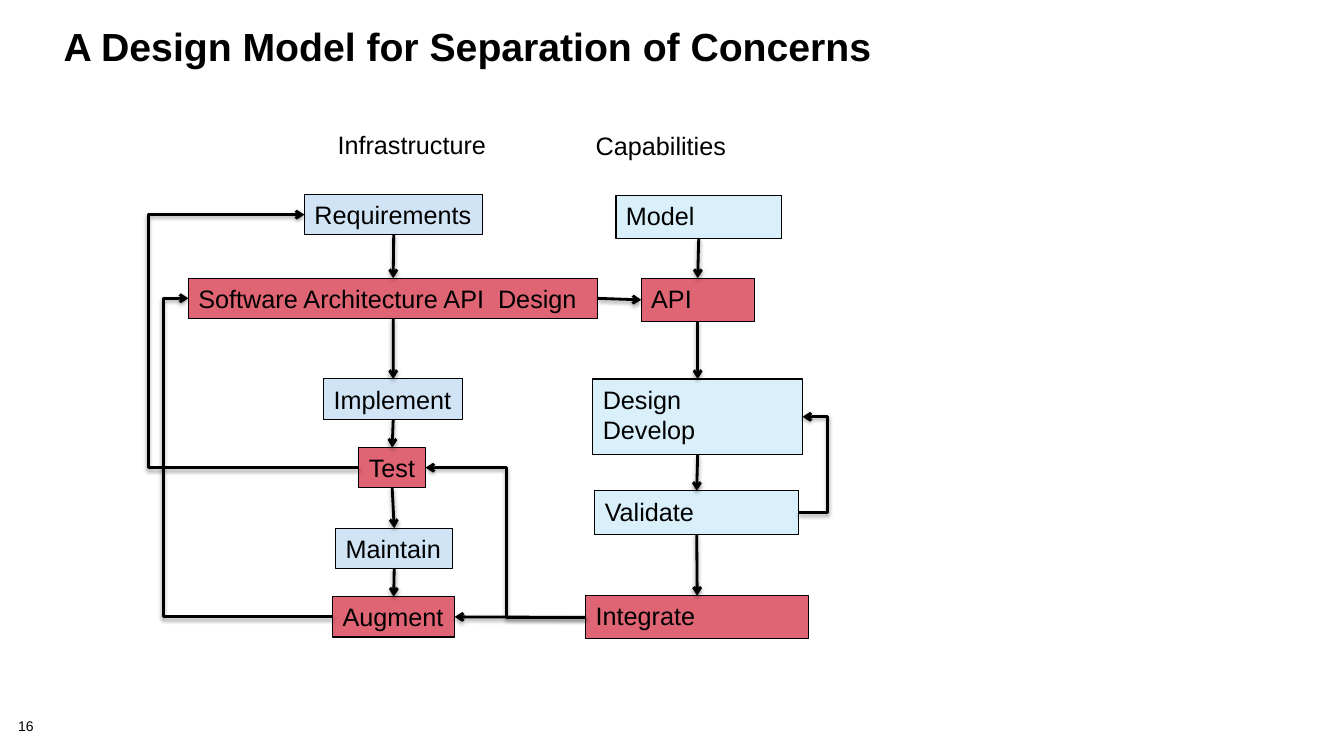
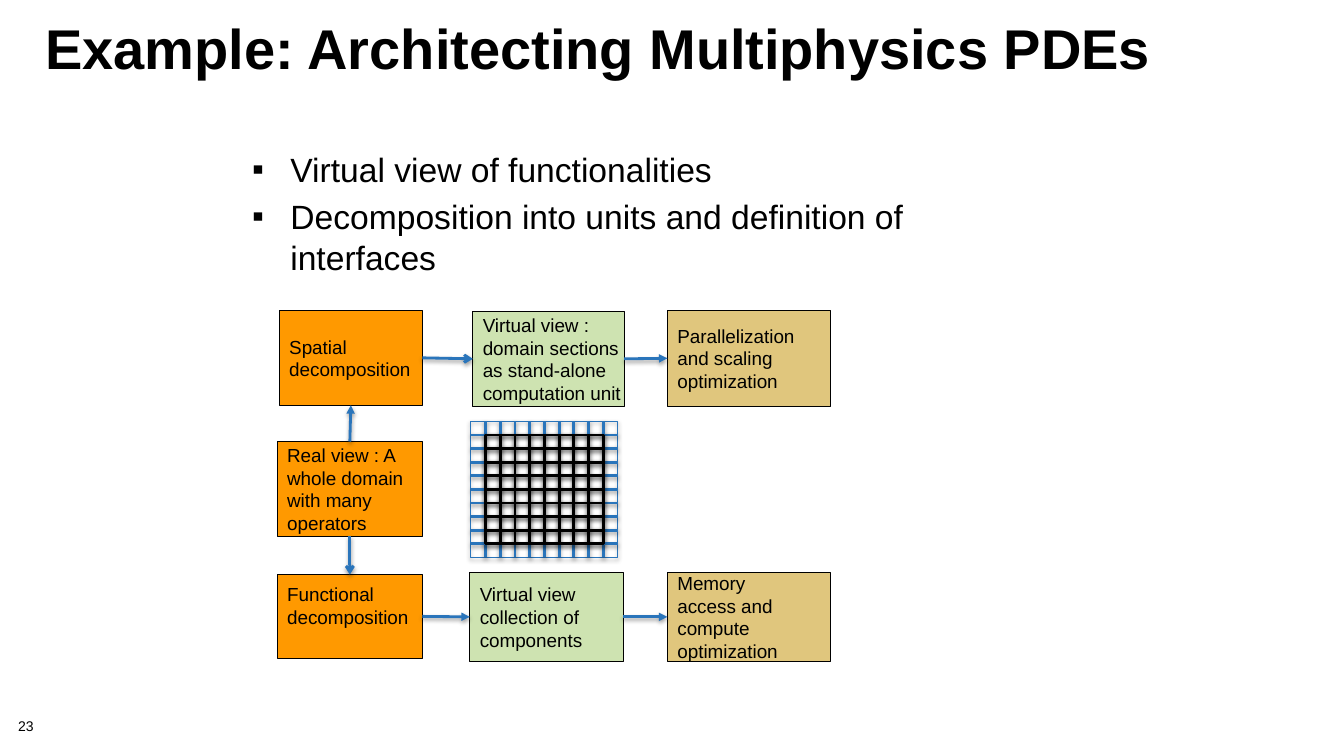
"""Build two slides on separating concerns in software design."""
from lxml import etree
from pptx import Presentation
from pptx.dml.color import RGBColor
from pptx.enum.shapes import MSO_CONNECTOR, MSO_SHAPE
from pptx.enum.text import MSO_ANCHOR, MSO_AUTO_SIZE, PP_ALIGN
from pptx.oxml.ns import qn
from pptx.util import Inches, Pt

RECT = MSO_SHAPE.RECTANGLE
LINE = MSO_CONNECTOR.STRAIGHT
BENT = MSO_CONNECTOR.ELBOW
TOP, MID = MSO_ANCHOR.TOP, MSO_ANCHOR.MIDDLE
LEFT = PP_ALIGN.LEFT
FIXED = MSO_AUTO_SIZE.NONE
NORTH, WEST, SOUTH, EAST = range(4)

BLACK = RGBColor(0x00, 0x00, 0x00)
PALE = RGBColor(0xD1, 0xE4, 0xF5)
SKY = RGBColor(0xD9, 0xEF, 0xFA)
RED = RGBColor(0xDF, 0x64, 0x74)
ORANGE = RGBColor(0xFF, 0x99, 0x00)
GREEN = RGBColor(0xCE, 0xE3, 0xB1)
SAND = RGBColor(0xE0, 0xC6, 0x7D)
BLUE = RGBColor(0x2A, 0x75, 0xBB)
FONT = "Arial"


def write(frame, size, bold=False):
    """Format every paragraph in a text frame."""
    frame.word_wrap = True
    frame.auto_size = FIXED
    for para in frame.paragraphs:
        para.alignment = LEFT
        para.font.name = FONT
        para.font.size = Pt(size)
        para.font.bold = bold
        para.font.color.rgb = BLACK


def stroke(item, color, width=2, tip=None):
    """Give a line or outline its color, arrowhead and soft shadow."""
    item.line.color.rgb = color
    item.line.width = Pt(width)
    props = item._element.spPr
    if tip:
        etree.SubElement(props.find(qn("a:ln")), qn("a:tailEnd"), type=tip)
    glow = etree.SubElement(props, qn("a:effectLst"))
    cast = etree.SubElement(glow, qn("a:outerShdw"), blurRad=str(Pt(3.1)),
                            dist=str(Pt(1.6)), dir="5400000", rotWithShape="0")
    tone = etree.SubElement(cast, qn("a:srgbClr"), val=str(BLACK))
    etree.SubElement(tone, qn("a:alpha"), val="38000")


deck = Presentation()
deck.slide_width, deck.slide_height = Inches(13.33), Inches(7.5)
model = deck.slides.add_slide(deck.slide_layouts[5])
multi = deck.slides.add_slide(deck.slide_layouts[1])

heads = [
    (model, "A Design Model for Separation of Concerns", 28, (0.53, 0.24, 10.56, 0.67)),
    (multi, "Example: Architecting Multiphysics PDEs", 40, (0.35, 0.19, 11.6, 0.68)),
]
for slide, text, size, spot in heads:
    title = slide.shapes.title
    title.left, title.top, title.width, title.height = map(Inches, spot)
    frame = title.text_frame
    frame.text = text
    frame.vertical_anchor = TOP
    frame.paragraphs[0].line_spacing = 0.85
    write(frame, size, True)

labels = [
    (model, "16", 10, 0, (0.18, 7.12, 0.56, 0.16)),
    (multi, "23", 10, 0, (0.18, 7.12, 0.56, 0.16)),
    (model, "Infrastructure", 18, 0.1, (3.25, 1.23, 1.69, 0.4)),
    (model, "Capabilities", 18, 0.1, (5.81, 1.24, 1.51, 0.4)),
]
for slide, text, size, inset, spot in labels:
    frame = slide.shapes.add_textbox(*map(Inches, spot)).text_frame
    frame.text = text
    frame.margin_left, frame.margin_right = Inches(inset), 0
    frame.margin_top = frame.margin_bottom = Inches(inset / 2)
    write(frame, size)

body = multi.placeholders[1]
body.left, body.top, body.width, body.height = map(Inches, (2.4, 1.43, 7.97, 1.38))
frame = body.text_frame
frame.text = ("Virtual view of functionalities\n"
              "Decomposition into units and definition of interfaces")
for gap, para in zip((0, 4.8), frame.paragraphs):
    para.space_before = Pt(gap)
    props = para._p.get_or_add_pPr()
    props.set("marL", str(Inches(0.38)))
    props.set("indent", str(Inches(-0.38)))
    etree.SubElement(props, qn("a:buChar"), char="▪")
write(frame, 24)

boxes = [
    (model, PALE, (3.02, 1.93, 1.77, 0.4), "Requirements"),
    (model, RED, (1.87, 2.76, 4.06, 0.4), "Software Architecture API  Design"),
    (model, PALE, (3.21, 3.76, 1.38, 0.4), "Implement"),
    (model, RED, (3.56, 4.44, 0.66, 0.4), "Test"),
    (model, PALE, (3.33, 5.24, 1.16, 0.4), "Maintain"),
    (model, RED, (3.3, 5.92, 1.21, 0.4), "Augment"),
    (model, SKY, (6.11, 1.94, 1.64, 0.43), "Model"),
    (model, RED, (6.36, 2.76, 1.12, 0.43), "API"),
    (model, SKY, (5.88, 3.76, 2.08, 0.75), "Design\nDevelop"),
    (model, SKY, (5.9, 4.87, 2.02, 0.43), "Validate"),
    (model, RED, (5.81, 5.91, 2.21, 0.43), "Integrate"),
    (multi, ORANGE, (2.77, 3.08, 1.42, 0.94), "Spatial\ndecomposition"),
    (multi, ORANGE, (2.75, 4.38, 1.44, 0.94),
     "Real view : A\nwhole domain\nwith many\noperators"),
    (multi, ORANGE, (2.75, 5.7, 1.44, 0.83), "Functional\ndecomposition"),
    (multi, GREEN, (4.69, 3.09, 1.5, 0.94),
     "Virtual view :\ndomain sections\nas stand-alone\ncomputation unit"),
    (multi, GREEN, (4.66, 5.68, 1.52, 0.88), "Virtual view\ncollection of\ncomponents"),
    (multi, SAND, (6.62, 3.08, 1.62, 0.95),
     "Parallelization\nand scaling\noptimization"),
    (multi, SAND, (6.62, 5.68, 1.62, 0.88),
     "Memory\naccess and\ncompute\noptimization"),
]
parts = {}
for slide, fill, spot, text in boxes:
    box = slide.shapes.add_shape(RECT, *map(Inches, spot))
    box.shadow.inherit = False
    box.fill.solid()
    box.fill.fore_color.rgb = fill
    box.line.color.rgb = BLACK
    box.line.width = Pt(0.75)
    frame = box.text_frame
    frame.text = text
    frame.margin_right = 0
    frame.vertical_anchor = TOP if slide is model else MID
    write(frame, 18 if slide is model else 13.5)
    parts[text.split("\n")[0]] = box
parts["Functional"].text_frame.margin_bottom = Inches(0.27)

ARCH = "Software Architecture API  Design"
links = [
    (model, "Integrate", WEST, "Augment", EAST, "arrow", None),
    (model, ARCH, EAST, "API", WEST, "arrow", None),
    (model, "Augment", WEST, ARCH, WEST, "arrow", 1.62),
    (model, "Test", WEST, "Requirements", WEST, "arrow", 1.47),
    (model, "Integrate", WEST, "Test", EAST, "arrow", 5.02),
    (model, "Validate", EAST, "Design", EAST, "arrow", 8.21),
    (multi, "Spatial", EAST, "Virtual view :", WEST, "arrow", None),
    (multi, "Real view : A", SOUTH, "Functional", NORTH, "arrow", None),
    (multi, "Real view : A", NORTH, "Spatial", SOUTH, "triangle", None),
    (multi, "Functional", EAST, "Virtual view", WEST, "triangle", None),
    (multi, "Virtual view :", EAST, "Parallelization", WEST, "triangle", None),
    (multi, "Virtual view", EAST, "Memory", WEST, "triangle", None),
]
chains = [
    ("Requirements", ARCH, "Implement", "Test", "Maintain", "Augment"),
    ("Model", "API", "Design", "Validate", "Integrate"),
]
for chain in chains:
    for start, end in zip(chain, chain[1:]):
        links.append((model, start, SOUTH, end, NORTH, "arrow", None))

for slide, start, out, end, into, tip, via in links:
    link = slide.shapes.add_connector(BENT if via else LINE, 0, 0, 0, 0)
    link.begin_connect(parts[start], out)
    link.end_connect(parts[end], into)
    if via:
        bend = (Inches(via) - link.begin_x) / (link.end_x - link.begin_x)
        geom = link._element.spPr.find(qn("a:prstGeom"))
        etree.SubElement(geom.find(qn("a:avLst")), qn("a:gd"), name="adj1",
                         fmla=f"val {round(bend * 100000)}")
    stroke(link, BLACK if slide is model else BLUE, 2, tip)

CELLS = 10
left, top = Inches(4.67), Inches(4.18)
wide, high = Inches(1.46) // CELLS, Inches(1.35) // CELLS
grid = multi.shapes.add_group_shape().shapes
for color, low, width in ((BLUE, 0, 0.75), (BLACK, 1, 2)):
    last = CELLS - low
    x1, x2 = left + low * wide, left + last * wide
    y1, y2 = top + low * high, top + last * high
    edge = grid.add_shape(RECT, x1, y1, x2 - x1, y2 - y1)
    edge.fill.background()
    stroke(edge, color, width)
    for step in range(low + 1, last):
        x, y = left + step * wide, top + step * high
        stroke(grid.add_connector(LINE, x, y1, x, y2), color)
        stroke(grid.add_connector(LINE, x1, y, x2, y), color)

deck.save("out.pptx")
